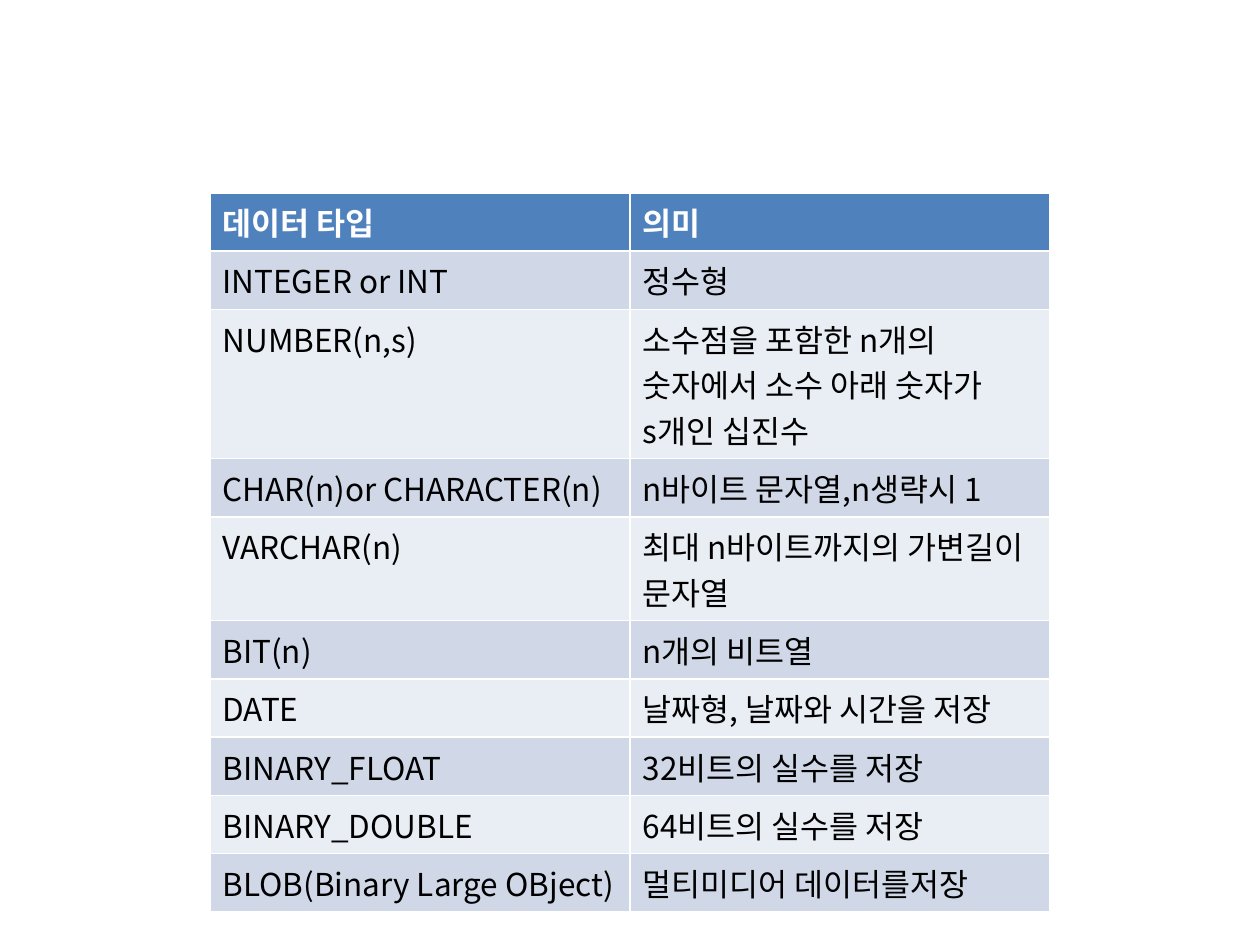
import lxml.etree
import pptx
import pptx.dml.color
import pptx.oxml.ns
import pptx.util

FONT = "Noto Sans CJK KR"
COLORS = {
    "header": "4F81BD",
    "odd": "D0D8E8",
    "even": "E9EDF4",
    "header_text": "FFFFFF",
    "text": "000000",
}
DATA_TYPES = [
    ("데이터 타입", "의미"),
    ("INTEGER or INT", "정수형"),
    ("NUMBER(n,s)", "소수점을 포함한 n개의 숫자에서 소수 아래 숫자가\ns개인 십진수"),
    ("CHAR(n)or CHARACTER(n)", "n바이트 문자열,n생략시 1"),
    ("VARCHAR(n)", "최대 n바이트까지의 가변길이 문자열"),
    ("BIT(n)", "n개의 비트열"),
    ("DATE", "날짜형, 날짜와 시간을 저장"),
    ("BINARY_FLOAT", "32비트의 실수를 저장"),
    ("BINARY_DOUBLE", "64비트의 실수를 저장"),
    ("BLOB(Binary Large OBject)", "멀티미디어 데이터를저장"),
]
ROW_HEIGHT = 0.41
TALL_ROWS = {2: 1.0, 4: 0.7}


def color(name):
    return pptx.dml.color.RGBColor.from_string(COLORS[name])


# Deck and page
deck = pptx.Presentation()
deck.slide_width = pptx.util.Inches(10)
deck.slide_height = pptx.util.Inches(7.5)
page = deck.slides.add_slide(deck.slide_layouts[6])

# Table: centred, two thirds of the page wide; its default style draws the white rules
heights = [TALL_ROWS.get(index, ROW_HEIGHT) for index in range(len(DATA_TYPES))]
table = page.shapes.add_table(
    len(DATA_TYPES), 2,
    deck.slide_width // 6, pptx.util.Inches(1.53),
    deck.slide_width * 2 // 3, pptx.util.Inches(sum(heights)),
).table

# Cells: header row, then alternating bands
for row_index, texts in enumerate(DATA_TYPES):
    is_header = row_index == 0
    band = "header" if is_header else ("odd" if row_index % 2 else "even")
    table.rows[row_index].height = pptx.util.Inches(heights[row_index])
    for column_index, text in enumerate(texts):
        cell = table.cell(row_index, column_index)
        cell.fill.solid()
        cell.fill.fore_color.rgb = color(band)
        cell.text = text
        for para in cell.text_frame.paragraphs:
            para.font.size = pptx.util.Pt(18)
            para.font.bold = is_header
            para.font.color.rgb = color("header_text" if is_header else "text")
            para.font.name = FONT
            # Korean letters take the East Asian font
            defaults = para._p.pPr.find(pptx.oxml.ns.qn("a:defRPr"))
            lxml.etree.SubElement(defaults, pptx.oxml.ns.qn("a:ea"), typeface=FONT)

deck.save("out.pptx")
